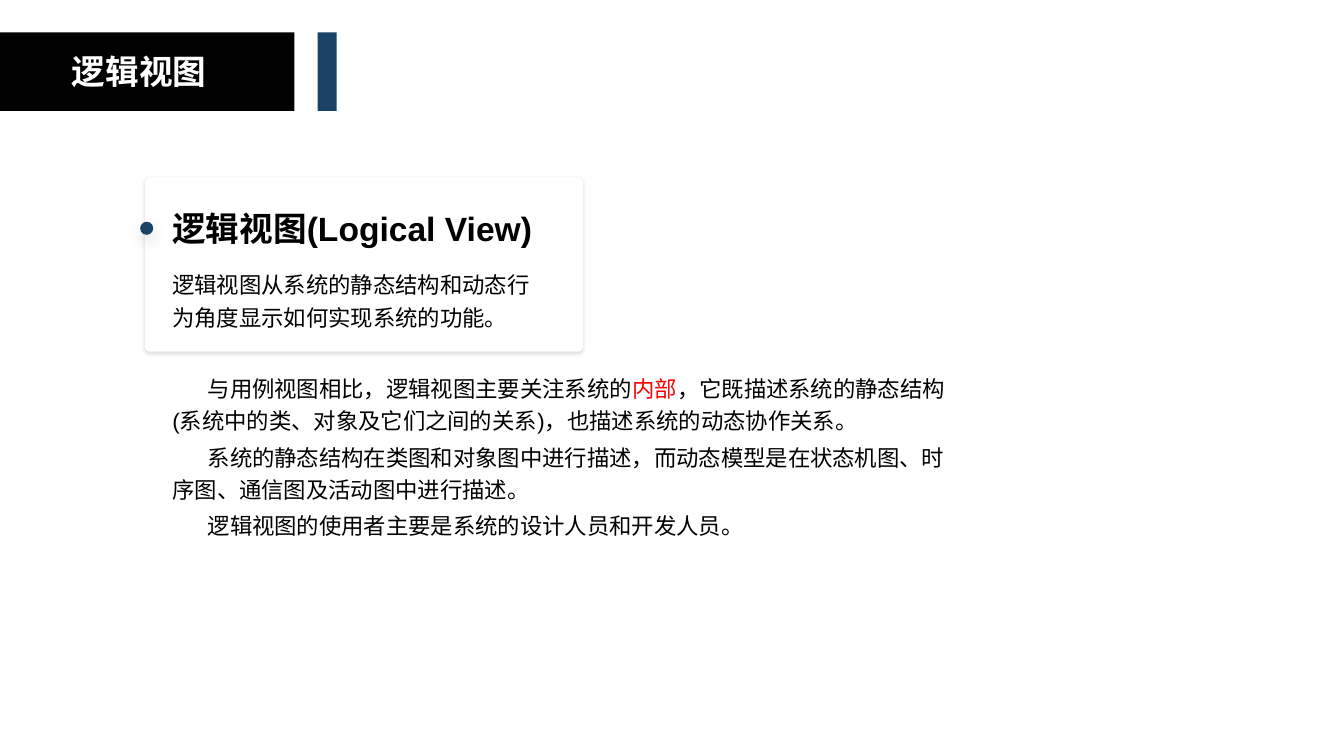
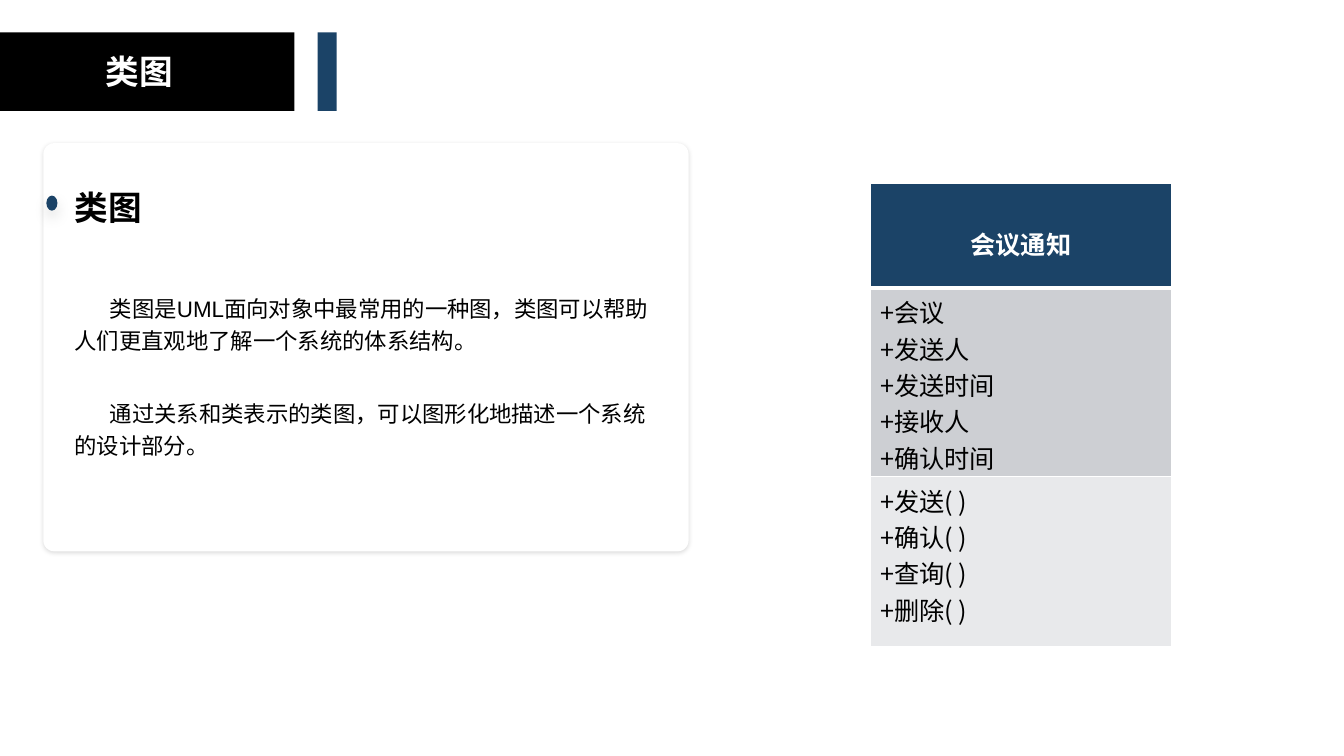
from lxml import etree
from pptx import Presentation
from pptx import util as u
from pptx.dml import color
from pptx.enum import shapes, text
from pptx.oxml import ns

BLACK, WHITE, NAVY, RED = "000000", "FFFFFF", "1B4367", "FF0000"
ATTRIBUTE_FILL, OPERATION_FILL = "CDCFD3", "E8E9EB"
LATIN, CHINESE = "Arial", "Noto Sans CJK SC"
TITLE_SIZE, BODY_SIZE, CLASS_SIZE = 24, 16, 18
FIRST_LINE_INDENT = 0.35
CARD_SHADOW, DOT_SHADOW = (15, 3, 1), (12, 10, 5)


def rgb(value):
    return color.RGBColor.from_string(value)


def add_child(parent, tag, **attributes):
    child = etree.SubElement(parent, ns.qn(tag))
    for name, value in attributes.items():
        child.set(name, str(value))
    return child


def add_color(parent, value):
    return add_child(add_child(parent, "a:solidFill"), "a:srgbClr", val=value)


def add_shape(slide, kind, box, fill, shadow=None):
    shape = slide.shapes.add_shape(kind, *map(u.Inches, box))
    shape.fill.solid()
    shape.fill.fore_color.rgb = rgb(fill)
    shape.line.fill.background()
    shape.shadow.inherit = False
    if shadow:
        opacity, blur, distance = shadow
        effects = shape._element.spPr.find(ns.qn("a:effectLst"))
        outer = add_child(effects, "a:outerShdw", blurRad=u.Pt(blur), dist=u.Pt(distance),
                          dir=90 * 60000, algn="t", rotWithShape=0)
        add_child(add_child(outer, "a:srgbClr", val=BLACK), "a:alpha", val=opacity * 1000)
    return shape


def add_run(paragraph, words, size, font=LATIN, fill=BLACK, bold=False):
    run = paragraph.add_run()
    run.text = words
    run.font.size = u.Pt(size)
    run.font.name = font
    run.font.bold = bold
    run.font.color.rgb = rgb(fill)
    add_child(run.font._element, "a:ea", typeface=CHINESE)


def next_paragraph(frame, index):
    return frame.add_paragraph() if index else frame.paragraphs[0]


def add_text(slide, box, paragraphs, size=BODY_SIZE, bold=False, indent=0, gap=3):
    frame = slide.shapes.add_textbox(*map(u.Inches, box)).text_frame
    frame.word_wrap = True
    frame.margin_left = frame.margin_top = frame.margin_right = frame.margin_bottom = 0
    for index, runs in enumerate(paragraphs):
        paragraph = next_paragraph(frame, index)
        paragraph.line_spacing = 1.2
        paragraph.space_before = u.Pt(gap if index else size * 0.2)
        if indent:
            properties = paragraph._p.get_or_add_pPr()
            properties.set("marL", "0")
            properties.set("indent", str(u.Inches(indent)))
        for words, fill in runs:
            add_run(paragraph, words, size, fill=fill, bold=bold)


def add_header(slide, title):
    top, height = 0.32, 0.78
    add_shape(slide, shapes.MSO_SHAPE.RECTANGLE, (0, top, 2.92, height), BLACK)
    add_shape(slide, shapes.MSO_SHAPE.RECTANGLE, (3.15, top, 0.19, height), NAVY)
    box = slide.shapes.add_textbox(*map(u.Inches, (0, top + 0.14, 2.76, 0.5)))
    box.text_frame.word_wrap = True
    paragraph = box.text_frame.paragraphs[0]
    paragraph.alignment = text.PP_ALIGN.CENTER
    add_run(paragraph, title, TITLE_SIZE, CHINESE, WHITE, True)


def add_card(slide, box, dot, title, title_at, body, body_at, **body_style):
    left, top, width, height = box

    def inside(x, y, w, h):
        return left + x, top + y, w, h

    card = add_shape(slide, shapes.MSO_SHAPE.ROUNDED_RECTANGLE, box, WHITE, CARD_SHADOW)
    card.adjustments[0] = 0.027
    add_shape(slide, shapes.MSO_SHAPE.OVAL, inside(*dot), NAVY, DOT_SHADOW)
    add_text(slide, inside(*title_at), [[(title, BLACK)]], TITLE_SIZE, bold=True)
    add_text(slide, inside(*body_at), [[(words, BLACK)] for words in body], **body_style)


def style_cell(cell, fill, top_border, bottom_border):
    properties = cell._tc.get_or_add_tcPr()
    for side, width in (("L", 1), ("R", 1), ("T", top_border), ("B", bottom_border)):
        add_color(add_child(properties, "a:ln" + side, w=u.Pt(width)), WHITE)
    cell.fill.solid()
    cell.fill.fore_color.rgb = rgb(fill)


def add_class_table(slide, box, name, attributes, operations):
    table = slide.shapes.add_table(3, 1, *map(u.Inches, box)).table
    table.horz_banding = False
    rows = [
        (1.04, [name], NAVY, WHITE, 1, 3),
        (1.87, ["+" + item for item in attributes], ATTRIBUTE_FILL, BLACK, 3, 1),
        (1.69, [f"+{item}( )" for item in operations], OPERATION_FILL, BLACK, 1, 1),
    ]
    for row, (height, lines, fill, ink, top_border, bottom_border) in enumerate(rows):
        table.rows[row].height = u.Inches(height)
        cell = table.cell(row, 0)
        style_cell(cell, fill, top_border, bottom_border)
        is_name = row == 0
        if is_name:
            cell.margin_top = u.Inches(0.41)
        for index, words in enumerate(lines):
            paragraph = next_paragraph(cell.text_frame, index)
            paragraph.alignment = text.PP_ALIGN.CENTER if is_name else text.PP_ALIGN.LEFT
            add_run(paragraph, words, CLASS_SIZE, CHINESE, ink, is_name)


def build_logical_view(slide):
    add_header(slide, "逻辑视图")
    add_card(
        slide, (1.44, 1.76, 4.34, 1.73), (-0.05, 0.44, 0.13, 0.13),
        "逻辑视图(Logical View)", (0.27, 0.22, 3.8, 0.5),
        ["逻辑视图从系统的静态结构和动态行为角度显示如何实现系统的功能。"],
        (0.27, 0.88, 3.6, 0.65),
    )
    add_text(slide, (1.71, 3.67, 7.79, 1.75), [
        [("与用例视图相比，逻辑视图主要关注系统的", BLACK), ("内部", RED),
         ("，它既描述系统的静态结构(系统中的类、对象及它们之间的关系)，也描述系统的动态协作关系。", BLACK)],
        [("系统的静态结构在类图和对象图中进行描述，而动态模型是在状态机图、时序图、通信图及活动图中进行描述。", BLACK)],
        [("逻辑视图的使用者主要是系统的设计人员和开发人员。", BLACK)],
    ], indent=FIRST_LINE_INDENT)


def build_class_diagram(slide):
    add_header(slide, "类图")
    add_card(
        slide, (0.43, 1.42, 6.4, 4.05), (0.03, 0.52, 0.11, 0.15),
        "类图", (0.31, 0.35, 3.07, 0.48),
        ["类图是UML面向对象中最常用的一种图，类图可以帮助人们更直观地了解一个系统的体系结构。",
         "通过关系和类表示的类图，可以图形化地描述一个系统的设计部分。"],
        (0.31, 1.45, 5.76, 1.75), indent=FIRST_LINE_INDENT, gap=29,
    )
    add_class_table(
        slide, (8.63, 1.82, 2.99, 4.6), "会议通知",
        ["会议", "发送人", "发送时间", "接收人", "确认时间"],
        ["发送", "确认", "查询", "删除"],
    )


def main():
    presentation = Presentation()
    presentation.slide_width = u.Inches(13.33)
    presentation.slide_height = u.Inches(7.5)
    for build in (build_logical_view, build_class_diagram):
        build(presentation.slides.add_slide(presentation.slide_layouts[6]))
    presentation.save("out.pptx")


if __name__ == "__main__":
    main()
